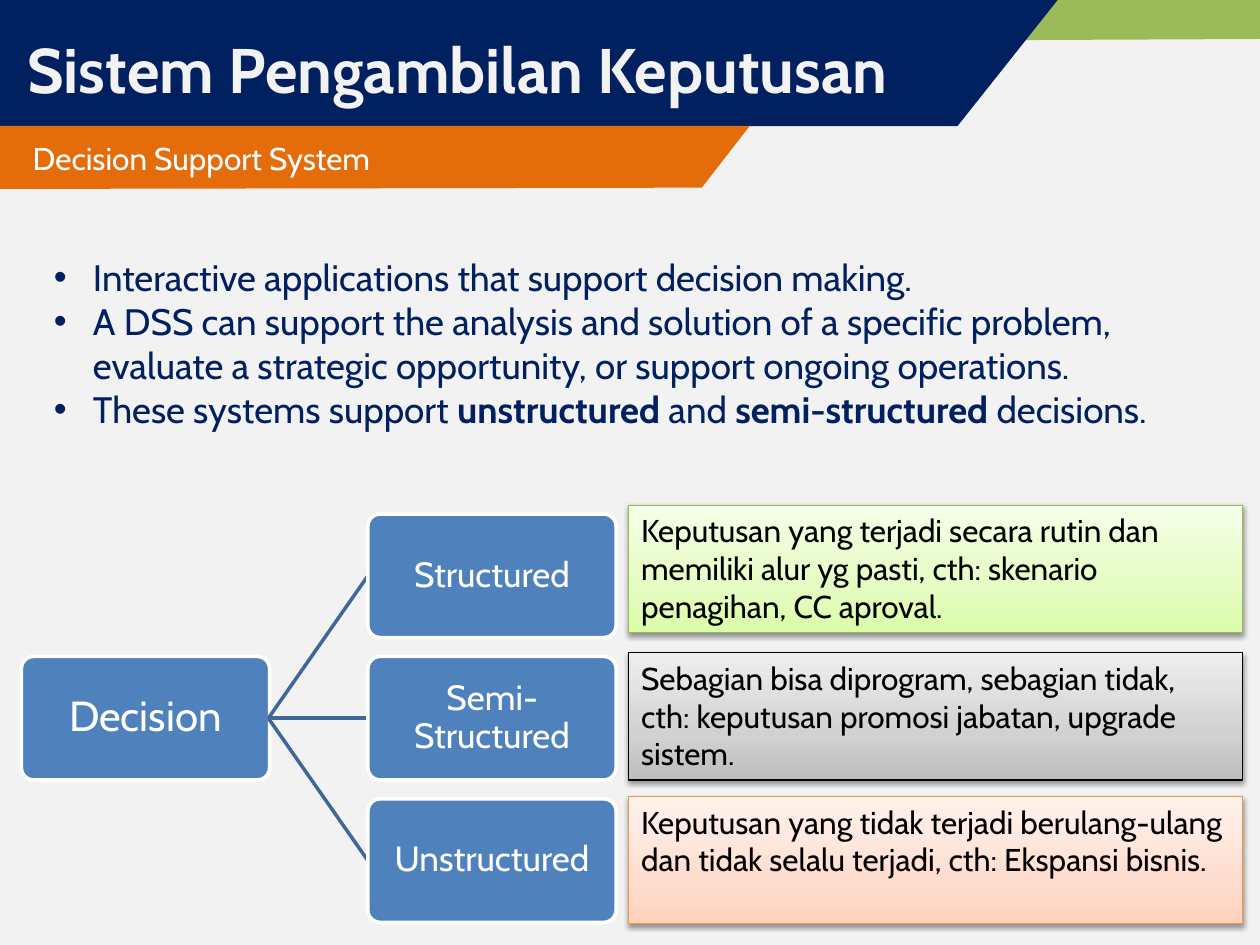
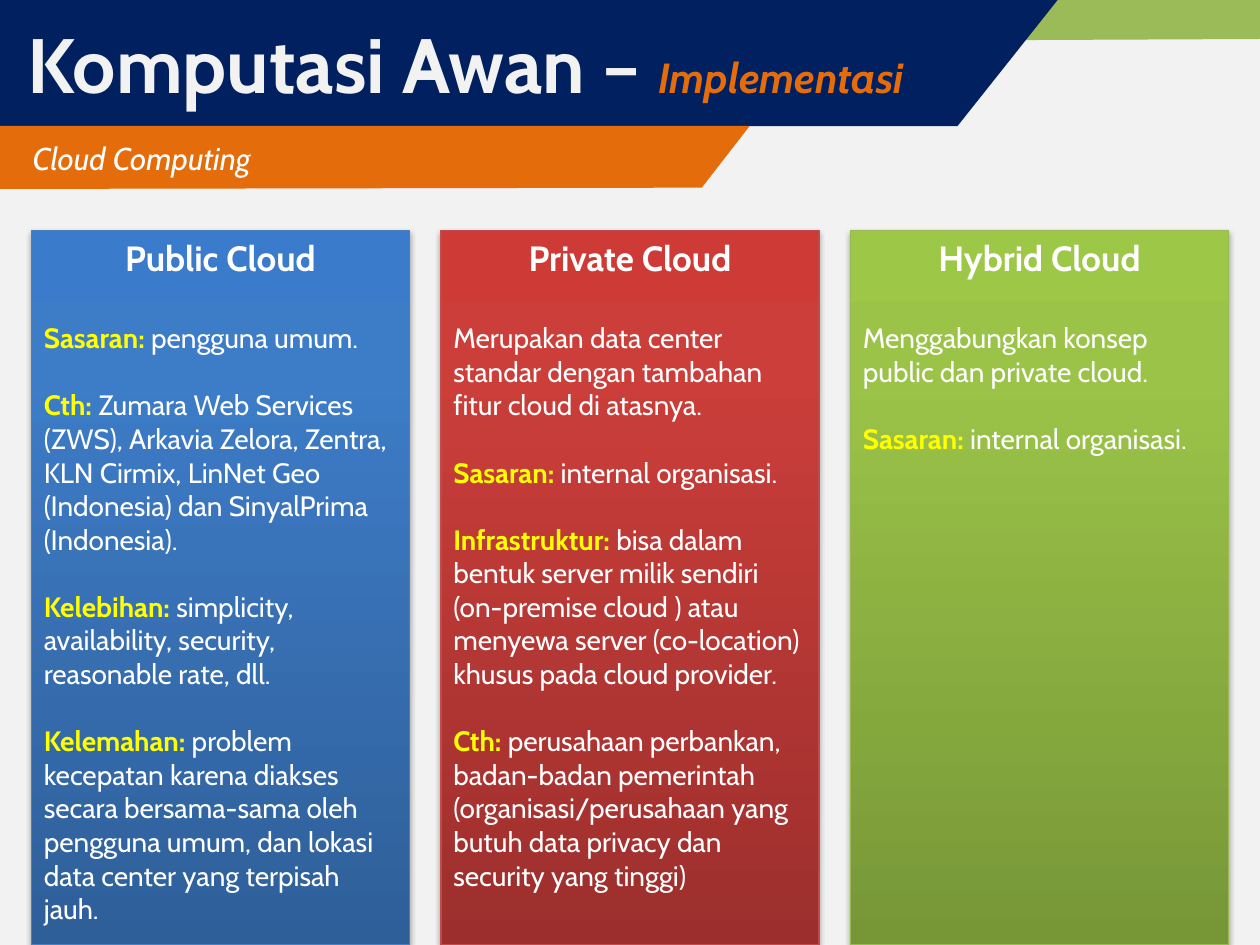
"""Build two slides on decision support systems and cloud computing."""
import copy
from dataclasses import dataclass

import lxml.etree
import pptx
import pptx.dml.color
import pptx.enum.shapes
import pptx.enum.text
import pptx.oxml.ns
import pptx.shapes.autoshape
import pptx.slide
import pptx.util

EMU_PER_PX = 9144
FONT = "Cabin"
COLORS = {
    "background": "F2F2F2", "navy": "002060", "orange": "E46C0A", "green": "9BBB59",
    "white": "FFFFFF", "black": "000000", "yellow": "FFFF00",
    "node": "4F81BD", "branch": "3F6797",
    "note_green": "98B955", "note_orange": "F69240",
    "cloud_blue": "4B7EBC", "cloud_red": "BF4C48", "cloud_green": "98B955",
}
ALIGN = pptx.enum.text.PP_ALIGN
ANCHOR = pptx.enum.text.MSO_ANCHOR
SHAPES = pptx.enum.shapes.MSO_SHAPE
qn = pptx.oxml.ns.qn


@dataclass(frozen=True)
class Run:
    text: str
    bold: bool | None = None
    italic: bool | None = None
    color: str | None = None
    size: float | None = None


@dataclass(frozen=True)
class Paragraph:
    runs: tuple[Run, ...]
    align: ALIGN = ALIGN.LEFT
    space_before: float = 0
    bullet: bool = False


@dataclass(frozen=True)
class Band:
    color: str
    points: tuple[tuple[int, int], ...]


@dataclass(frozen=True)
class Panel:
    left: int
    top: int
    width: int
    height: int
    stops: tuple[tuple[float, str], ...]
    line: str
    shadow_alpha: int
    shadow_distance: float


@dataclass(frozen=True)
class Level:
    name: str
    note: str
    note_top: int
    line: str
    shades: tuple[str, str, str]


@dataclass(frozen=True)
class Cloud:
    name: str
    facts: tuple[tuple[str, str], ...]
    line: str
    shades: tuple[str, str, str]


CORNER_BAND = Band("green", ((569, 0), (1000, 0), (1000, 31), (558, 33)))
TITLE_BAND = Band("navy", ((0, 0), (841, -2), (760, 100), (0, 100)))
SUBTITLE_BAND = Band("orange", ((0, 100), (595, 100), (557, 149), (0, 150)))

DSS_POINTS = (
    (Run("Interactive applications that support decision making."),),
    (Run("A DSS can support the analysis and solution of a specific problem, "
         "evaluate a strategic opportunity, or support ongoing operations."),),
    (Run("These systems support "), Run("unstructured", bold=True), Run(" and "),
     Run("semi-structured", bold=True), Run(" decisions.")),
)
LEVELS = (
    Level("Structured", "Keputusan yang terjadi secara rutin dan memiliki alur yg pasti, "
          "cth: skenario penagihan, CC aproval.",
          401, "note_green", ("DAFDA7", "E4FCC2", "F5FFE7")),
    Level("Semi-Structured", "Sebagian bisa diprogram, sebagian tidak, cth: keputusan "
          "promosi jabatan, upgrade sistem.",
          518, "black", ("BDBDBD", "D1D1D1", "EEEEEE")),
    Level("Unstructured", "Keputusan yang tidak terjadi berulang-ulang dan tidak selalu "
          "terjadi, cth: Ekspansi bisnis.",
          632, "note_orange", ("FFD2BD", "FFDED0", "FFF2ED")),
)
CLOUDS = (
    Cloud("Public Cloud", (
        ("Sasaran:", " pengguna umum."),
        ("Cth:", " Zumara Web Services (ZWS), Arkavia Zelora, Zentra, KLN Cirmix, LinNet "
                 "Geo (Indonesia) dan SinyalPrima (Indonesia)."),
        ("Kelebihan:", " simplicity, availability, security, reasonable rate, dll."),
        ("Kelemahan:", " problem kecepatan karena diakses secara bersama-sama oleh "
                       "pengguna umum, dan lokasi data center yang terpisah jauh."),
    ), "cloud_blue", ("2F5F99", "3D7CC7", "3A7CCB")),
    Cloud("Private Cloud", (
        ("", "Merupakan data center standar dengan tambahan fitur cloud di atasnya."),
        ("Sasaran:", " internal organisasi."),
        ("Infrastruktur:", " bisa dalam bentuk server milik sendiri (on-premise cloud ) atau "
                           "menyewa server (co-location) khusus pada cloud provider."),
        ("Cth:", " perusahaan perbankan, badan-badan pemerintah (organisasi/perusahaan "
                 "yang butuh data privacy dan security yang tinggi)"),
    ), "cloud_red", ("9C2F2D", "CB3E3A", "CE3B37")),
    Cloud("Hybrid Cloud", (
        ("", "Menggabungkan konsep public dan private cloud."),
        ("Sasaran:", " internal organisasi."),
    ), "cloud_green", ("779737", "9BC348", "9DC746")),
)


def px(length: float) -> pptx.util.Emu:
    """Convert a length in px to EMU."""
    return pptx.util.Emu(round(length * EMU_PER_PX))


def rgb(value: str) -> pptx.dml.color.RGBColor:
    """Return a colour from its name or its hex string."""
    return pptx.dml.color.RGBColor.from_string(COLORS.get(value, value))


def write(shape: pptx.shapes.autoshape.Shape, paragraphs: list[Paragraph], *,
          size: float, color: str, bold: bool = False, anchor: ANCHOR = ANCHOR.TOP,
          margins: tuple[int, int, int, int] = (10, 5, 10, 5),
          line_spacing: float | None = None) -> None:
    """Fill a shape with formatted paragraphs."""
    frame = shape.text_frame
    frame.word_wrap = True
    frame.vertical_anchor = anchor
    (frame.margin_left, frame.margin_top,
     frame.margin_right, frame.margin_bottom) = map(px, margins)
    for index, content in enumerate(paragraphs):
        paragraph = frame.add_paragraph() if index else frame.paragraphs[0]
        paragraph.alignment = content.align
        if content.space_before:
            paragraph.space_before = pptx.util.Pt(content.space_before)
        if line_spacing:
            paragraph.line_spacing = line_spacing
        if content.bullet:
            properties = paragraph._p.get_or_add_pPr()
            properties.set("marL", str(px(31)))
            properties.set("indent", str(px(-31)))
            bullet_font = lxml.etree.SubElement(properties, qn("a:buFont"))
            bullet_font.set("typeface", "Arial")
            lxml.etree.SubElement(properties, qn("a:buChar")).set("char", "•")
        for part in content.runs:
            run = paragraph.add_run()
            run.text = part.text
            run.font.name = FONT
            run.font.size = pptx.util.Pt(part.size or size)
            run.font.bold = bold if part.bold is None else part.bold
            run.font.italic = part.italic
            run.font.color.rgb = rgb(part.color or color)


def draw_band(slide: pptx.slide.Slide, band: Band) -> pptx.shapes.autoshape.Shape:
    """Draw a slanted band."""
    start, *corners = band.points
    builder = slide.shapes.build_freeform(*start, scale=EMU_PER_PX)
    builder.add_line_segments(corners, close=True)
    shape = builder.convert_to_shape()
    shape.shadow.inherit = False
    shape.fill.solid()
    shape.fill.fore_color.rgb = rgb(band.color)
    shape.line.fill.background()
    return shape


def draw_panel(slide: pptx.slide.Slide, panel: Panel) -> pptx.shapes.autoshape.Shape:
    """Draw a rectangle with an upward gradient and a soft shadow."""
    shape = slide.shapes.add_shape(
        SHAPES.RECTANGLE, px(panel.left), px(panel.top), px(panel.width), px(panel.height))
    shape.fill.gradient()
    shape.fill.gradient_angle = 90
    properties = shape._element.spPr
    stop_list = properties.find(qn("a:gradFill")).find(qn("a:gsLst"))
    stop_list.insert(1, copy.deepcopy(stop_list[0]))
    for stop, (position, color) in zip(shape.fill.gradient_stops, panel.stops):
        stop.position = position
        stop.color.rgb = rgb(color)
    shape.line.color.rgb = rgb(panel.line)
    shape.line.width = pptx.util.Pt(0.75)
    shape.shadow.inherit = False
    shadow = lxml.etree.SubElement(
        properties.find(qn("a:effectLst")), qn("a:outerShdw"),
        blurRad=str(pptx.util.Pt(3.1)), dist=str(pptx.util.Pt(panel.shadow_distance)),
        dir="5400000", rotWithShape="0")
    color = lxml.etree.SubElement(shadow, qn("a:srgbClr"), val=COLORS["black"])
    lxml.etree.SubElement(color, qn("a:alpha"), val=str(panel.shadow_alpha * 1000))
    return shape


def draw_node(slide: pptx.slide.Slide, text: str, left: int, top: int, size: int) -> None:
    """Draw a rounded box of the decision tree."""
    shape = slide.shapes.add_shape(
        SHAPES.ROUNDED_RECTANGLE, px(left), px(top), px(197), px(98))
    shape.adjustments[0] = 0.1
    shape.shadow.inherit = False
    shape.fill.solid()
    shape.fill.fore_color.rgb = rgb("node")
    shape.line.color.rgb = rgb("white")
    shape.line.width = pptx.util.Pt(2)
    write(shape, [Paragraph((Run(text),), ALIGN.CENTER)], size=size, color="white",
          anchor=ANCHOR.MIDDLE, margins=(5, 5, 5, 5), line_spacing=0.9)


def draw_branch(slide: pptx.slide.Slide, start: tuple[int, int], end: tuple[int, int]) -> None:
    """Draw a line between two boxes of the decision tree."""
    connector = slide.shapes.add_connector(
        pptx.enum.shapes.MSO_CONNECTOR.STRAIGHT, *map(px, start + end))
    connector.line.color.rgb = rgb("branch")
    connector.line.width = pptx.util.Pt(2)
    lxml.etree.SubElement(connector._element.spPr, qn("a:effectLst"))


def add_slide(presentation, title: tuple[Run, ...], subtitle: Run,
              title_top: int = 0) -> pptx.slide.Slide:
    """Add a slide with its background, bands, title and subtitle."""
    slide = presentation.slides.add_slide(presentation.slide_layouts[6])
    slide.background.fill.solid()
    slide.background.fill.fore_color.rgb = rgb("background")
    draw_band(slide, CORNER_BAND)
    draw_band(slide, TITLE_BAND)
    title_box = slide.shapes.add_textbox(px(0), px(title_top), px(1000), px(100))
    write(title_box, [Paragraph(title)], size=44, color="background", bold=True,
          anchor=ANCHOR.MIDDLE, margins=(22, 5, 10, 5))
    write(draw_band(slide, SUBTITLE_BAND), [Paragraph((subtitle,))], size=18,
          color="white", anchor=ANCHOR.MIDDLE, margins=(26, 5, 10, 5))
    return slide


def build_decision_slide(presentation) -> None:
    """Build the slide on decision support systems."""
    slide = add_slide(presentation, (Run("Sistem Pengambilan Keputusan", size=36),),
                      Run("Decision Support System"), title_top=4)
    points_box = slide.shapes.add_textbox(px(33), px(197), px(917), px(187))
    write(points_box, [Paragraph(runs, bullet=True) for runs in DSS_POINTS],
          size=21, color="navy")
    draw_node(slide, "Decision", 17, 521, 24)
    for row, level in enumerate(LEVELS):
        top = 408 + 113 * row
        draw_branch(slide, (213, 570), (292, top + 49))
        draw_node(slide, level.name, 292, top, 20)
        panel = Panel(499, level.note_top, 487, 101, tuple(zip((0, 0.35, 1), level.shades)),
                      level.line, 38, 1.6)
        write(draw_panel(slide, panel), [Paragraph((Run(level.note),))],
              size=18, color="black")


def build_cloud_slide(presentation) -> None:
    """Build the slide on cloud computing."""
    slide = add_slide(
        presentation,
        (Run("Komputasi Awan – "), Run("Implementasi", italic=True, color="orange", size=24)),
        Run("Cloud Computing", italic=True))
    for column, cloud in enumerate(CLOUDS):
        panel = Panel(25 + 325 * column, 183, 300, 567,
                      tuple(zip((0, 0.8, 1), cloud.shades)), cloud.line, 35, 1.8)
        paragraphs = [Paragraph((Run(cloud.name, bold=True, size=20),), ALIGN.CENTER)]
        for index, (label, text) in enumerate(cloud.facts):
            label_runs = (Run(label, bold=True, color="yellow"),) if label else ()
            paragraphs.append(Paragraph(label_runs + (Run(text),),
                                        space_before=19.2 if index else 24))
        write(draw_panel(slide, panel), paragraphs, size=16, color="white")


def main() -> None:
    """Build and save the presentation."""
    presentation = pptx.Presentation()
    presentation.slide_width = px(1000)
    presentation.slide_height = px(750)
    build_decision_slide(presentation)
    build_cloud_slide(presentation)
    presentation.save("out.pptx")


if __name__ == "__main__":
    main()
